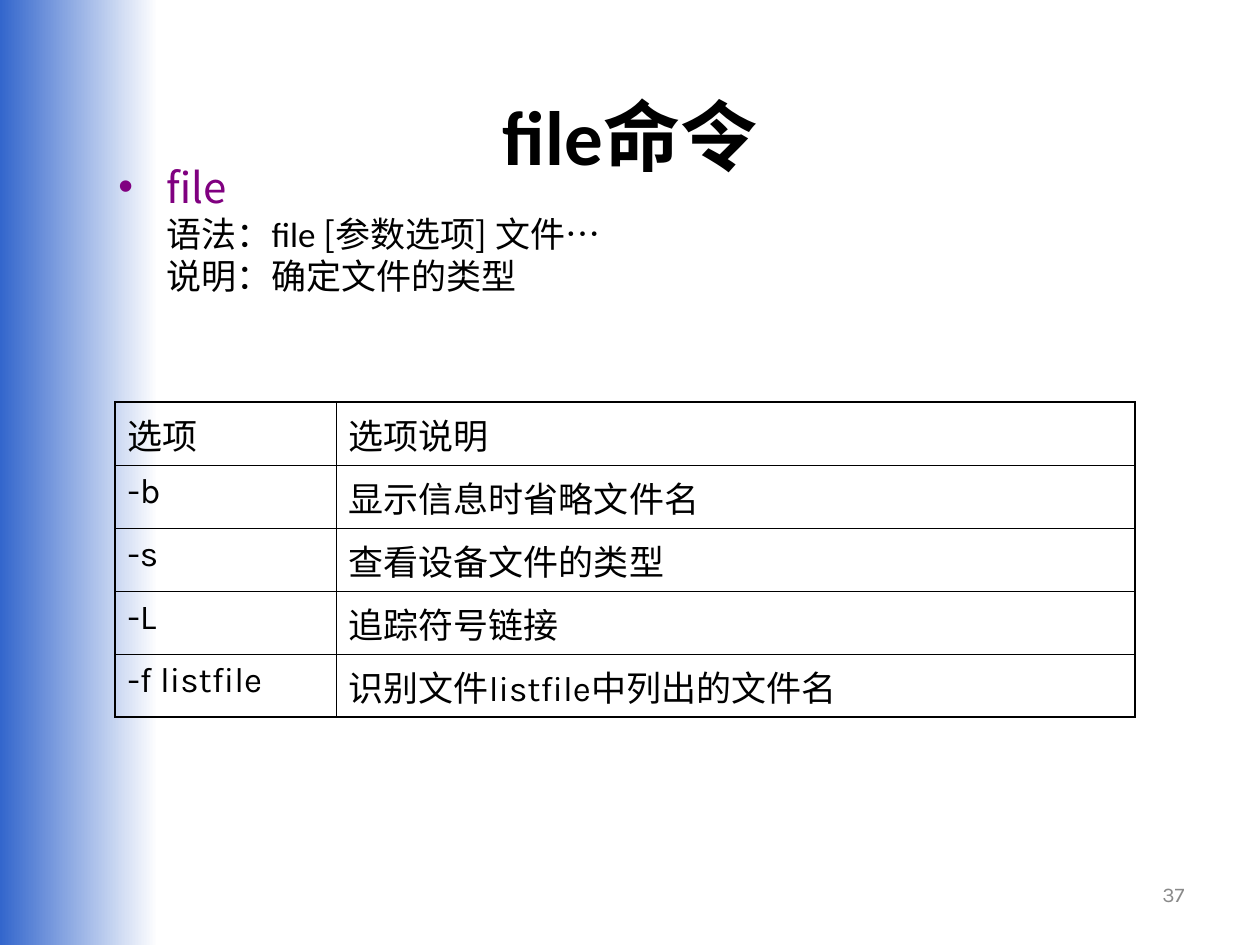
from dataclasses import dataclass

from lxml import etree
from pptx import Presentation
from pptx.dml.color import RGBColor
from pptx.enum.shapes import MSO_SHAPE
from pptx.enum.text import MSO_ANCHOR, PP_ALIGN
from pptx.oxml.ns import qn
from pptx.util import Emu, Pt

LEFT, CENTER, RIGHT = PP_ALIGN.LEFT, PP_ALIGN.CENTER, PP_ALIGN.RIGHT
TOP, MIDDLE = MSO_ANCHOR.TOP, MSO_ANCHOR.MIDDLE
RECTANGLE = MSO_SHAPE.RECTANGLE

EMU_PER_PX = 914400 / 126
CJK = "Noto Sans CJK SC"
BLACK, PURPLE, GREY, BLUE, WHITE = "000000", "800080", "898989", "3366CC", "FFFFFF"
OUTER_LINE, INNER_LINE = Pt(1.08), Pt(0.45)
HANGING = 48
COLUMN_WIDTHS = (221, 799)
ROW_HEIGHT = 63
OPTIONS = (
    ("选项", "选项说明"),
    ("-b", "显示信息时省略文件名"),
    ("-s", "查看设备文件的类型"),
    ("-L", "追踪符号链接"),
    ("-f listfile", "识别文件listfile中列出的文件名"),
)


@dataclass(frozen=True)
class Run:
    text: str
    size: int
    font: str
    color: str = BLACK
    bold: bool = False


@dataclass(frozen=True)
class Para:
    runs: tuple[Run, ...]
    align: PP_ALIGN = LEFT
    spacing: float = 1.0
    before: int = 0
    margin: int = 0
    bullet: str = ""


@dataclass(frozen=True)
class Box:
    left: int
    top: int
    width: int
    height: int
    anchor: MSO_ANCHOR
    paras: tuple[Para, ...]


BOXES = (
    Box(63, 40, 1134, 190, MIDDLE,
        (Para((Run("file命令", 44, "Calibri", bold=True),), CENTER),)),
    Box(106, 165, 1000, 151, TOP, (
        Para((Run("file", 24, CJK, PURPLE),), spacing=0.8, margin=HANGING, bullet="•"),
        Para((Run("语法：file ", 20, "Calibri"), Run("[参数选项] 文件", 20, CJK),
              Run("…", 20, "Arial")), spacing=0.8, before=5, margin=HANGING),
        Para((Run("说明：确定文件的类型", 20, "Calibri"),),
             spacing=0.8, before=5, margin=HANGING),
    )),
    Box(903, 861, 294, 66, MIDDLE, (Para((Run("37", 12, "Karla", GREY),), RIGHT),)),
)


def px(value: int) -> Emu:
    return Emu(round(value * EMU_PER_PX))


def rgb(color: str) -> RGBColor:
    return RGBColor.from_string(color)


def add_run(p, run: Run) -> None:
    r = p.add_run()
    r.text = run.text
    for name, value in {"size": Pt(run.size), "bold": run.bold, "name": run.font}.items():
        setattr(r.font, name, value)
    r.font.color.rgb = rgb(run.color)
    etree.SubElement(r.font._element, qn("a:ea"), typeface=CJK)


def add_bullet(p, char: str, color: str) -> None:
    pPr = p._p.get_or_add_pPr()
    pPr.set("indent", str(-px(HANGING)))
    etree.SubElement(etree.SubElement(pPr, qn("a:buClr")), qn("a:srgbClr"), val=color)
    etree.SubElement(pPr, qn("a:buFont"), typeface="Arial")
    etree.SubElement(pPr, qn("a:buChar"), char=char)


def write_paras(tf, paras: tuple[Para, ...]) -> None:
    for i, para in enumerate(paras):
        p = tf.paragraphs[0] if i == 0 else tf.add_paragraph()
        if para.margin:
            p._p.get_or_add_pPr().set("marL", str(px(para.margin)))
        if para.bullet:
            add_bullet(p, para.bullet, para.runs[0].color)
        formats = {"alignment": para.align, "line_spacing": para.spacing,
                   "space_before": Pt(para.before)}
        for name, value in formats.items():
            setattr(p, name, value)
        for run in para.runs:
            add_run(p, run)


def add_box(slide, box: Box) -> None:
    s = slide.shapes.add_textbox(px(box.left), px(box.top), px(box.width), px(box.height))
    tf = s.text_frame
    tf.word_wrap = True
    tf.vertical_anchor = box.anchor
    write_paras(tf, box.paras)


def add_side_band(slide) -> None:
    s = slide.shapes.add_shape(RECTANGLE, 0, 0, px(158), px(945))
    s.shadow.inherit = False
    s.line.fill.background()
    s.fill.gradient()
    s.fill.gradient_angle = 180
    for stop, color in zip(s.fill.gradient_stops, (WHITE, BLUE)):
        stop.color.rgb = rgb(color)


def set_borders(cell, outer: dict[str, bool]) -> None:
    """Draw the four edges, heavier where the edge is on the table's outside."""
    tcPr = cell._tc.get_or_add_tcPr()
    for i, (tag, is_outer) in enumerate(outer.items()):
        ln = etree.Element(qn(tag), w=str(OUTER_LINE if is_outer else INNER_LINE))
        fill = etree.SubElement(ln, qn("a:solidFill"))
        etree.SubElement(fill, qn("a:srgbClr"), val=BLACK)
        tcPr.insert(i, ln)


def add_options_table(slide) -> None:
    last_row, last_col = len(OPTIONS) - 1, len(COLUMN_WIDTHS) - 1
    table = slide.shapes.add_table(
        len(OPTIONS), len(COLUMN_WIDTHS), px(115), px(402),
        px(sum(COLUMN_WIDTHS)), px(ROW_HEIGHT * len(OPTIONS))).table
    table.first_row = table.horz_banding = False
    for column, width in zip(table.columns, COLUMN_WIDTHS):
        column.width = px(width)
    for r, texts in enumerate(OPTIONS):
        table.rows[r].height = px(ROW_HEIGHT)
        for c, text in enumerate(texts):
            cell = table.cell(r, c)
            cell.fill.background()
            set_borders(cell, {"a:lnL": c == 0, "a:lnR": c == last_col,
                               "a:lnT": r == 0, "a:lnB": r == last_row})
            write_paras(cell.text_frame, (Para((Run(text, 20, "Karla"),)),))


def main() -> None:
    prs = Presentation()
    prs.slide_width, prs.slide_height = px(1260), px(945)
    slide = prs.slides.add_slide(prs.slide_layouts[6])
    add_side_band(slide)
    for box in BOXES:
        add_box(slide, box)
    add_options_table(slide)
    prs.save("out.pptx")


if __name__ == "__main__":
    main()
